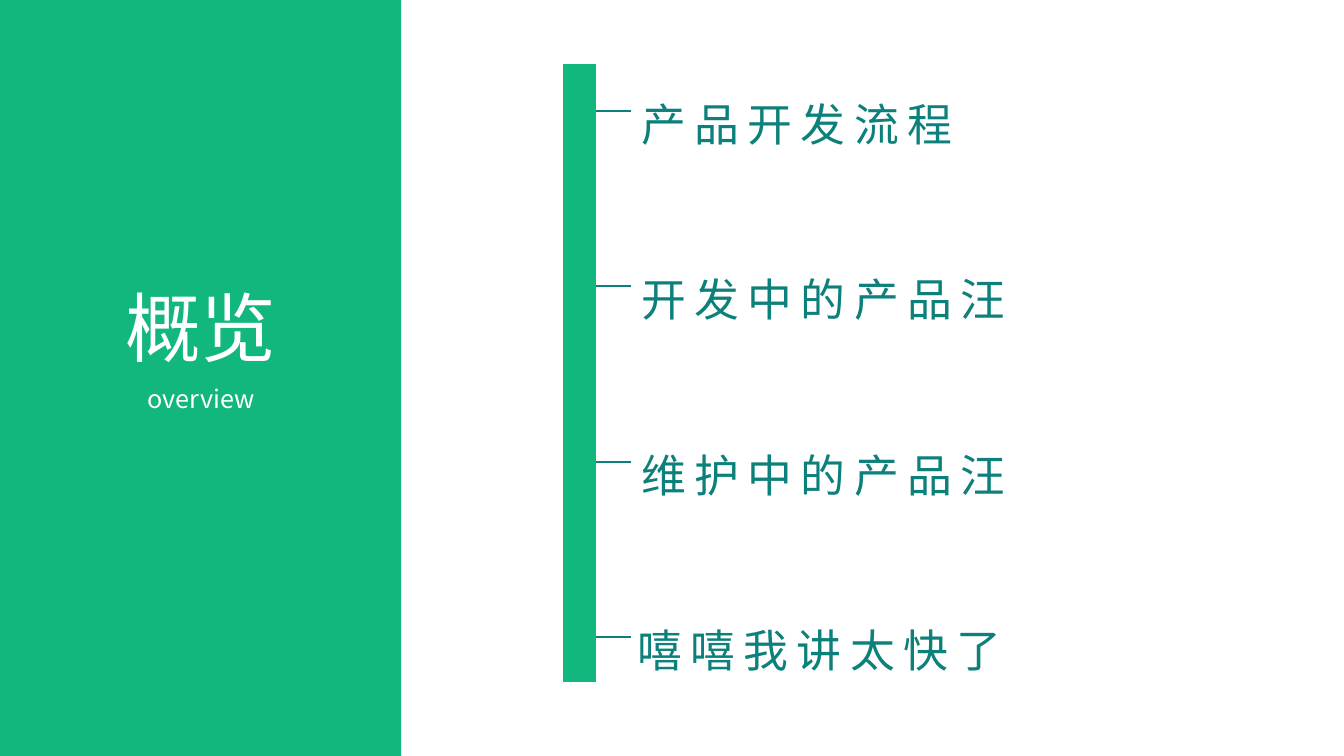
import pptx
import pptx.util
import pptx.dml.color
import pptx.enum.shapes
import pptx.enum.text
import pptx.oxml
import pptx.oxml.ns

Inches = pptx.util.Inches
Pt = pptx.util.Pt
FACE = "Noto Sans CJK SC"
GREEN = "11B77C"
TEAL = "0C807A"
WHITE = "FFFFFF"
AXIS = 5.75
EDGE = 6.26
TOP = 0.64
STEP = 1.74
TALL = 0.92
ITEMS = [
    ("产品开发流程", EDGE, 3.4, False),
    ("开发中的产品汪", EDGE, 3.93, False),
    ("维护中的产品汪", EDGE, 3.93, False),
    ("嘻嘻我讲太快了", 6.22, 5.34, True),
]


def color(text):
    return pptx.dml.color.RGBColor.from_string(text)


def add_tag(node, tag, **attrs):
    child = pptx.oxml.parse_xml(f"<{tag} {pptx.oxml.ns.nsdecls('a')}/>")
    for key, value in attrs.items():
        child.set(key, value)
    node.append(child)


def place(shape, left, top, width, height):
    shape.left, shape.top = Inches(left), Inches(top)
    shape.width, shape.height = Inches(width), Inches(height)


def write(shape, text, size, tint, align, wrap=True, lines=1.0, gap=0):
    frame = shape.text_frame
    frame.text = text
    frame.word_wrap = wrap
    frame.auto_size = pptx.enum.text.MSO_AUTO_SIZE.NONE
    frame.vertical_anchor = pptx.enum.text.MSO_ANCHOR.TOP
    para = frame.paragraphs[0]
    para.alignment = align
    para.line_spacing = lines
    para.space_before = Pt(0)
    props = para._p.get_or_add_pPr()
    props.set("marL", "0")
    props.set("indent", "0")
    add_tag(props, "a:buNone")
    font = para.font
    font.size, font.name, font.bold = Pt(size), FACE, False
    font.color.rgb = color(tint)
    run = props.find(pptx.oxml.ns.qn("a:defRPr"))
    run.set("spc", str(gap * 100))
    add_tag(run, "a:ea", typeface=FACE)


def add_panel(slide):
    kind = pptx.enum.shapes.MSO_SHAPE.RECTANGLE
    panel = slide.shapes.add_shape(kind, 0, 0, Inches(3.98), Inches(7.5))
    panel.shadow.inherit = False
    panel.fill.solid()
    panel.fill.fore_color.rgb = color(GREEN)
    panel.line.fill.background()
    panel.element.getparent().insert(2, panel.element)


def add_line(slide, start, end, tint, width):
    kind = pptx.enum.shapes.MSO_CONNECTOR.STRAIGHT
    ends = [Inches(value) for value in start + end]
    line = slide.shapes.add_connector(kind, *ends)
    line.line.color.rgb = color(tint)
    line.line.width = Pt(width)
    add_tag(line.element.spPr, "a:effectLst")
    return line


def add_item(slide, label, order, item):
    text, left, width, wrap = item
    top = TOP + order * STEP
    place(label, left, top, width, TALL)
    write(label, text, 32, TEAL, pptx.enum.text.PP_ALIGN.LEFT, wrap, 1.5, 6)
    mid = top + TALL / 2
    tick = add_line(slide, (EDGE, mid), (AXIS, mid), TEAL, 1.5)
    if left == EDGE:
        tick.begin_connect(label, 1)


def main():
    deck = pptx.Presentation()
    deck.slide_width, deck.slide_height = Inches(13.33), Inches(7.5)
    slide = deck.slides.add_slide(deck.slide_layouts.get_by_name("Comparison"))
    center = pptx.enum.text.PP_ALIGN.CENTER

    add_panel(slide)
    title = slide.shapes.title
    place(title, 0.69, 2.74, 2.6, 1.01)
    write(title, "概览", 54, WHITE, center)
    under = slide.shapes.add_textbox(
        Inches(0.78), Inches(3.75), Inches(2.43), Inches(0.4))
    write(under, "overview", 18, WHITE, center)

    for order, item in enumerate(ITEMS):
        add_item(slide, slide.placeholders[order + 1], order, item)
    add_line(slide, (AXIS, TOP), (AXIS, 6.77), GREEN, 23.75)
    deck.save("out.pptx")


if __name__ == "__main__":
    main()
